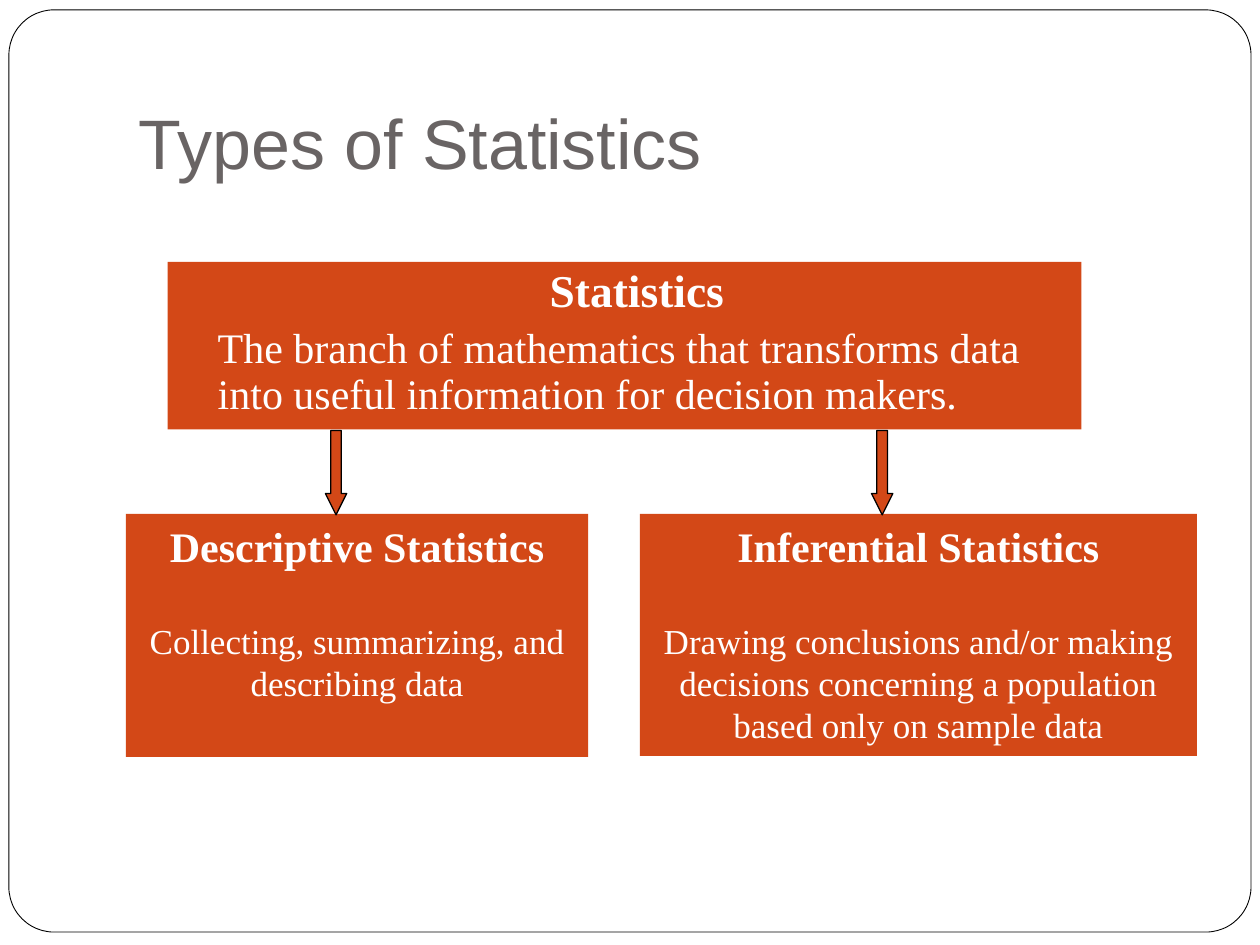
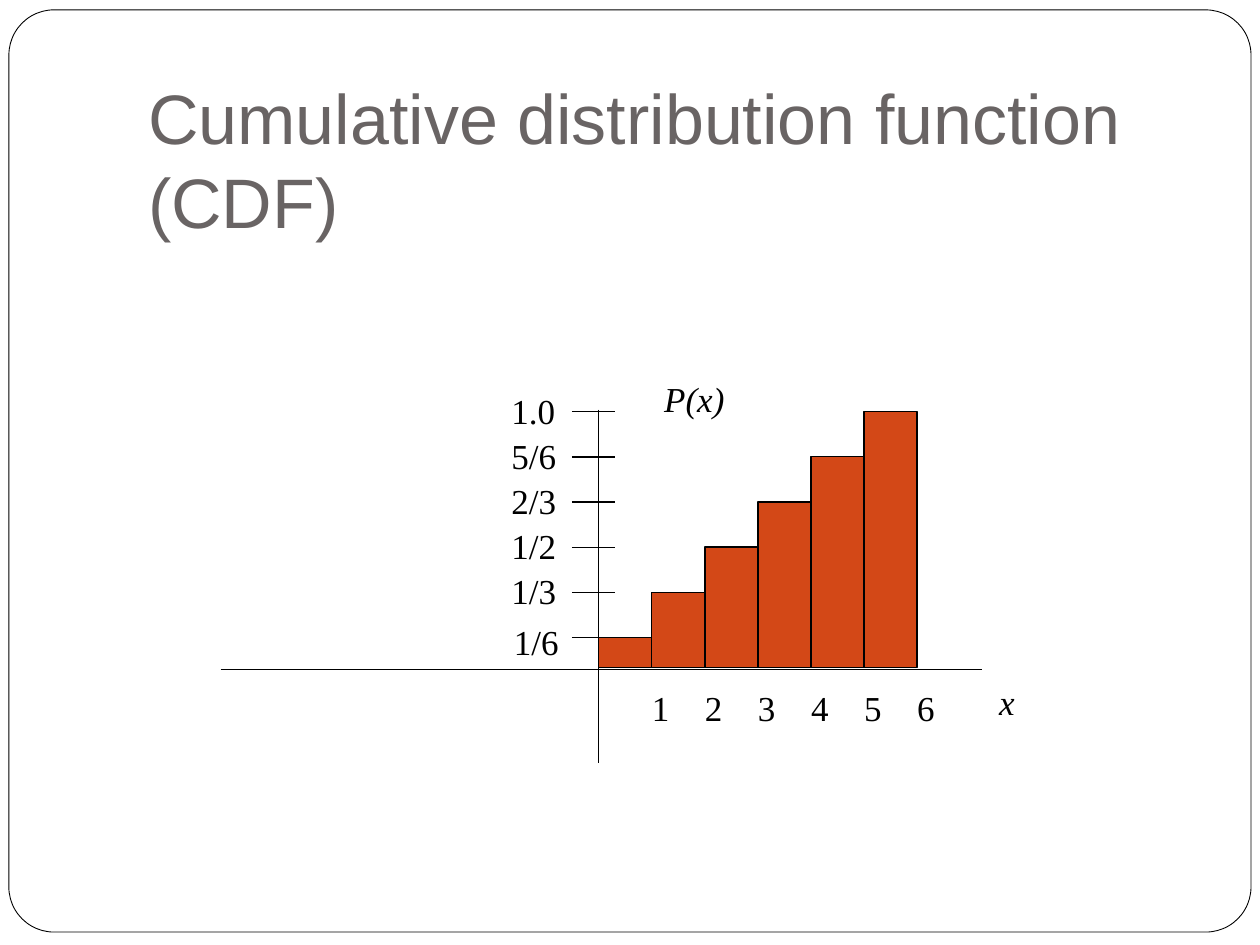
import pptx
import pptx.dml.color
import pptx.enum.shapes
import pptx.enum.text
import pptx.oxml.ns
import pptx.util
from lxml import etree

Cm = pptx.util.Cm
Pt = pptx.util.Pt
SHAPE = pptx.enum.shapes.MSO_SHAPE
ALIGN = pptx.enum.text.PP_ALIGN
ANCHOR = pptx.enum.text.MSO_ANCHOR

COLORS = {"paper": "FFFFFF", "accent": "D34817", "line": "000000", "title": "696464"}
HEADING_FONT = "Arial"
BODY_FONT = "Times New Roman"


def color(name):
    """Return the named colour."""
    return pptx.dml.color.RGBColor.from_string(COLORS[name])


def add_shape(shapes, kind, box, fill="accent", line_width=None):
    """Add a flat preset shape in a box of centimetres."""
    shape = shapes.add_shape(kind, *map(Cm, box))
    shape.shadow.inherit = False
    shape.fill.solid()
    shape.fill.fore_color.rgb = color(fill)
    if line_width is None:
        shape.line.fill.background()
    else:
        shape.line.color.rgb = color("line")
        shape.line.width = Pt(line_width)
    return shape


def add_line(shapes, *ends):
    """Add a thin straight line between two points in centimetres."""
    line = shapes.add_connector(pptx.enum.shapes.MSO_CONNECTOR.STRAIGHT, *map(Cm, ends))
    line.line.color.rgb = color("line")
    line.line.width = Pt(0.75)
    properties = line.element.find(pptx.oxml.ns.qn("p:spPr"))
    etree.SubElement(properties, pptx.oxml.ns.qn("a:effectLst"))


def set_frame(shape, margins=(0.25, 0.13, 0.25, 0.13), anchor=ANCHOR.TOP):
    """Make the text frame of a shape wrap, with its margins and anchor."""
    frame = shape.text_frame
    frame.word_wrap = True
    frame.vertical_anchor = anchor
    (frame.margin_left, frame.margin_top,
     frame.margin_right, frame.margin_bottom) = map(Cm, margins)
    return frame


def add_text(frame, text, size=20, font=BODY_FONT, ink="line", bold=False, italic=False,
             align=ALIGN.LEFT, before=0, spacing=1.0, indent=0):
    """Write a formatted paragraph in a text frame."""
    paragraph = frame.paragraphs[0] if not frame.text else frame.add_paragraph()
    paragraph.alignment = align
    paragraph.space_before = Pt(before)
    paragraph.line_spacing = spacing
    if indent:
        paragraph._p.get_or_add_pPr().set("marL", str(Cm(indent)))
    run = paragraph.add_run()
    run.text = text
    run.font.size = Pt(size)
    run.font.name = font
    run.font.bold = bold
    run.font.italic = italic
    run.font.color.rgb = color(ink)


def add_label(shapes, text, box, margins=(0, 0, 0, 0), italic=False):
    """Add a chart label in a box."""
    label = shapes.add_textbox(*map(Cm, box))
    add_text(set_frame(label, margins), text, italic=italic)


def add_slide(presentation, title, title_box):
    """Add a slide with the rounded frame and a title."""
    slide = presentation.slides.add_slide(presentation.slide_layouts[6])
    border = add_shape(slide.shapes, SHAPE.ROUNDED_RECTANGLE,
                       (0.18, 0.2, 25.04, 18.59), "paper", 0.5)
    border.adjustments[0] = 0.049
    heading = slide.shapes.add_textbox(*map(Cm, title_box))
    frame = set_frame(heading, (0.25, 0.13, 0.25, 0.25), ANCHOR.BOTTOM)
    add_text(frame, title, size=40, font=HEADING_FONT, ink="title")
    return slide


def add_definition(shapes, box, heading, body):
    """Add the wide box that defines the main term."""
    frame = set_frame(add_shape(shapes, SHAPE.RECTANGLE, box))
    add_text(frame, heading, size=26, ink="paper", bold=True, align=ALIGN.CENTER,
             before=5.8, spacing=0.9, indent=0.5)
    add_text(frame, body, size=24, ink="paper", before=5.8, spacing=0.9, indent=0.76)


def add_branch(shapes, box, heading, body):
    """Add a box for one branch, with its heading set apart."""
    frame = set_frame(add_shape(shapes, SHAPE.RECTANGLE, box))
    add_text(frame, heading, size=24, ink="paper", bold=True, align=ALIGN.CENTER)
    add_text(frame, body, ink="paper", align=ALIGN.CENTER, before=27.6)


def add_down_arrow(shapes, box):
    """Add an outlined arrow that points down to a branch."""
    arrow = add_shape(shapes, SHAPE.DOWN_ARROW, box, line_width=0.75)
    arrow.adjustments[0] = 0.5
    arrow.adjustments[1] = 1


def add_step_chart(shapes, left, top, width, height):
    """Draw the cumulative distribution as grouped bars, axes and labels."""
    parts = shapes.add_group_shape().shapes
    origin, baseline = left + 7.62, top + 6
    bar_step, tick_step, first_height = 1.07, 0.91, 0.61
    bar_bottom = baseline - 0.03
    fractions = ["1/6", "1/3", "1/2", "2/3", "5/6", "1.0"]
    levels = [bar_bottom - first_height - tick_step * index
              for index in range(len(fractions))]

    for index, level in enumerate(levels):
        add_shape(parts, SHAPE.RECTANGLE,
                  (origin + bar_step * index, level, bar_step, bar_bottom - level),
                  line_width=0.75)
    add_line(parts, origin, top + 0.77, origin, top + height)
    add_line(parts, left, baseline, left + 15.34, baseline)

    for index, (level, fraction) in enumerate(zip(levels, fractions)):
        add_line(parts, origin - 0.54, level, origin + 0.33, level)
        shift_x, shift_y = (0.05, 0.1) if index == 0 else (0, 0)
        add_label(parts, fraction,
                  (left + 5.86 + shift_x, level - 0.45 + shift_y, 1.12, 0.53))
        add_label(parts, str(index + 1),
                  (origin + bar_step * (index + 1), top + 6.35, 0.45, 0.55))

    margins = (0.25, 0.13, 0.25, 0.13)
    add_label(parts, "x", (left + width - 1.5, baseline + 0.1, 1.5, 1.09), margins, True)
    add_label(parts, "P(x)", (origin + bar_step, top, 2.51, 1.09), margins, True)


def build_types_slide(presentation):
    """Build the slide that splits statistics into two branches."""
    shapes = add_slide(presentation, "Types of Statistics", (2.54, 0.76, 21.59, 3.18)).shapes
    add_definition(shapes, (3.38, 5.28, 18.42, 3.38), "Statistics",
                   "The branch of mathematics that transforms data into useful "
                   "information for decision makers.")
    add_branch(shapes, (2.54, 10.36, 9.32, 4.9), "Descriptive Statistics",
               "Collecting, summarizing, and describing data")
    add_branch(shapes, (12.9, 10.36, 11.23, 4.88), "Inferential Statistics",
               "Drawing conclusions and/or making decisions concerning a population "
               "based only on sample data")
    for left in (6.56, 17.57):
        add_down_arrow(shapes, (left, 8.68, 0.43, 1.7))


def build_distribution_slide(presentation):
    """Build the slide with the cumulative distribution chart."""
    slide = add_slide(presentation, "Cumulative distribution function (CDF)",
                      (2.74, 1.07, 23.57, 4.06))
    add_step_chart(slide.shapes, 4.45, 7.49, 16.94, 7.9)


def main():
    """Build the presentation and save it."""
    presentation = pptx.Presentation()
    presentation.slide_width = Cm(25.4)
    presentation.slide_height = Cm(19.05)
    build_types_slide(presentation)
    build_distribution_slide(presentation)
    presentation.save("out.pptx")


main()
